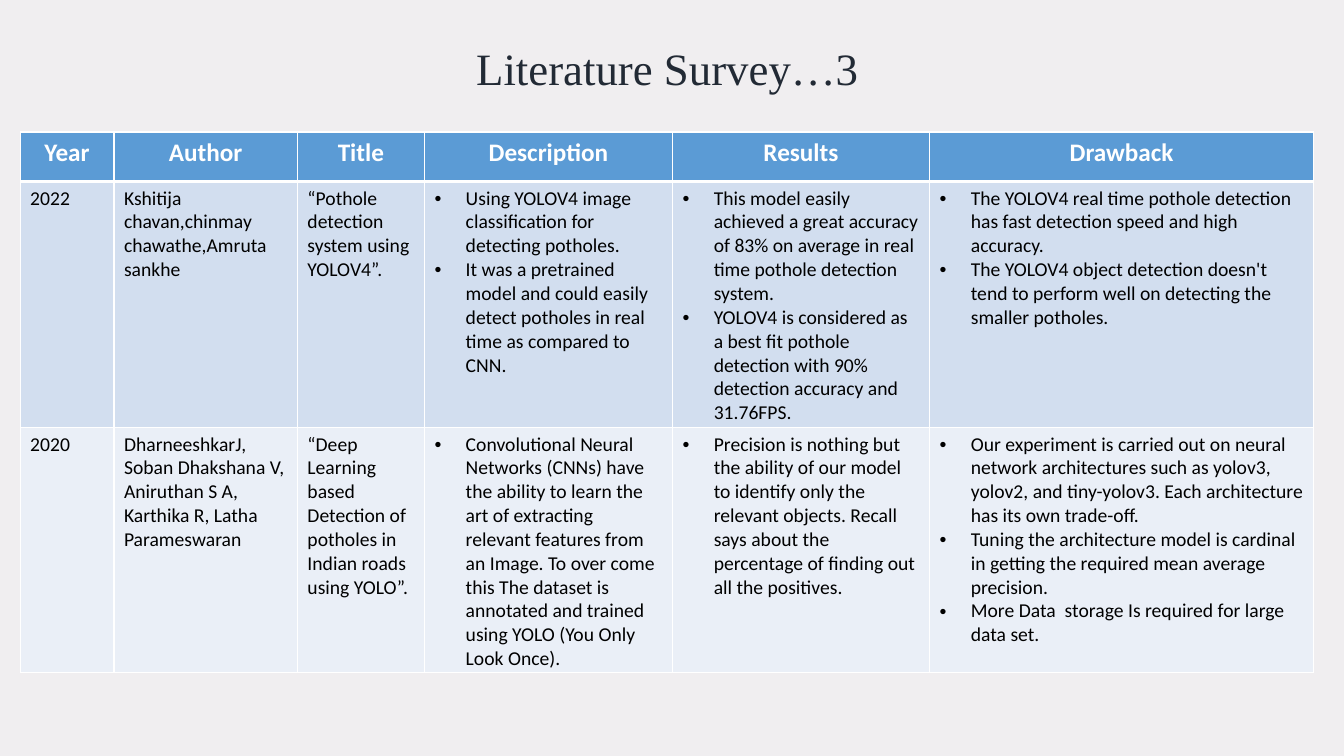
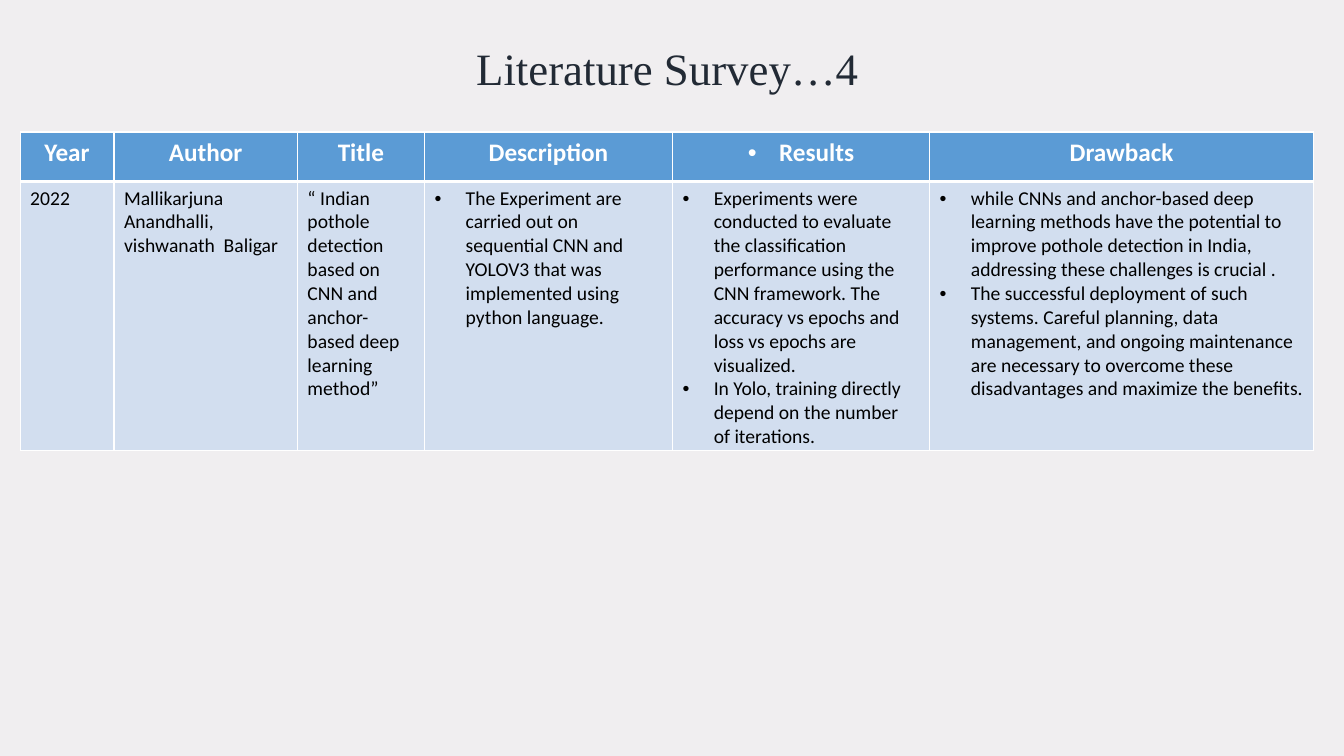
from dataclasses import dataclass
from lxml.etree import SubElement as Sub
from pptx import Presentation
from pptx.dml.color import RGBColor as Rgb
from pptx.enum.text import PP_ALIGN as Align
from pptx.oxml.ns import qn
from pptx.util import Inches, Pt


@dataclass(frozen=True)
class Theme:
    back: str = "F0EEF0"
    title: str = "222A35"
    head: str = "5B9BD5"
    bands: tuple = ("D2DEEF", "EAEFF7")
    white: str = "FFFFFF"
    ink: str = "000000"
    serif: str = "Times New Roman"
    sans: str = "Calibri"
    big: int = 32
    mid: int = 18
    small: int = 14
    thin: int = 1
    thick: int = 3
    indent: float = 0.31


THEME = Theme()
WIDTHS = (0.93, 1.82, 1.26, 2.46, 2.55, 3.81)
HEADS = ("Year", "Author", "Title", "Description", "Results", "Drawback")
HEAD_HIGH = 0.49
LISTS = (3, 4, 5)

SURVEYS = (
    ("Literature Survey…3", (), (
        (2.44, (
            ("2022",),
            ("Kshitija chavan,chinmay chawathe,Amruta sankhe",),
            ("“Pothole detection system using YOLOV4”.",),
            ("Using YOLOV4 image classification for detecting potholes.",
             "It was a pretrained model and could easily detect potholes "
             "in real time as compared to CNN."),
            ("This model easily achieved a great accuracy of 83% on average "
             "in real time pothole detection system.",
             "YOLOV4 is considered as a best fit pothole detection with 90% "
             "detection accuracy and 31.76FPS."),
            ("The YOLOV4 real time pothole detection has fast detection "
             "speed and high accuracy.",
             "The YOLOV4 object detection doesn't tend to perform well on "
             "detecting the smaller potholes."),
        )),
        (2.43, (
            ("2020",),
            ("DharneeshkarJ, Soban Dhakshana V, Aniruthan S A, Karthika R, "
             "Latha Parameswaran",),
            ("“Deep Learning based Detection of potholes in Indian roads "
             "using YOLO”.",),
            ("Convolutional Neural Networks (CNNs) have the ability to learn "
             "the art of extracting relevant features from an Image. To over "
             "come this The dataset is annotated and trained using YOLO "
             "(You Only Look Once).",),
            ("Precision is nothing but the ability of our model to identify "
             "only the relevant objects. Recall says about the percentage of "
             "finding out all the positives.",),
            ("Our experiment is carried out on neural network architectures "
             "such as yolov3, yolov2, and tiny-yolov3. Each architecture has "
             "its own trade-off.",
             "Tuning the architecture model is cardinal in getting the "
             "required mean average precision.",
             "More Data  storage Is required for large data set."),
        )),
    )),
    ("Literature Survey…4", ("Results",), (
        (2.67, (
            ("2022",),
            ("Mallikarjuna Anandhalli, vishwanath  Baligar",),
            ("“ Indian pothole",
             "detection based on CNN and anchor-based deep learning method”"),
            ("The Experiment are carried out on sequential CNN and YOLOV3 "
             "that was implemented using python language.",),
            ("Experiments were conducted to evaluate the classification "
             "performance using the CNN framework. The accuracy vs epochs "
             "and loss vs epochs are visualized.",
             "In Yolo, training directly depend on the number of "
             "iterations."),
            ("while CNNs and anchor-based deep learning methods have the "
             "potential to improve pothole detection in India, addressing "
             "these challenges is crucial .",
             "The successful deployment of such systems. Careful planning, "
             "data management, and ongoing maintenance are necessary to "
             "overcome these disadvantages and maximize the benefits."),
        )),
    )),
)


def color(code):
    return Rgb.from_string(code)


def write(frame, lines, face, size, tone, bold=False, align=Align.LEFT, dots=False):
    frame.word_wrap = True
    for num, line in enumerate(lines):
        para = frame.add_paragraph() if num else frame.paragraphs[0]
        para.alignment = align
        if dots:
            props = para._p.get_or_add_pPr()
            step = Inches(THEME.indent)
            props.set("marL", str(step))
            props.set("indent", str(-step))
            Sub(props, qn("a:buFont"), typeface="Arial")
            Sub(props, qn("a:buChar"), char="•")
        run = para.add_run()
        run.text = line
        font = run.font
        font.name, font.size, font.bold = face, Pt(size), bold
        font.color.rgb = color(tone)


def edge(cell, top, base):
    props = cell._tc.get_or_add_tcPr()
    sides = {"L": THEME.thin, "R": THEME.thin, "T": top, "B": base}
    for side, wide in sides.items():
        line = Sub(props, qn(f"a:ln{side}"), w=str(Pt(wide)))
        Sub(Sub(line, qn("a:solidFill")), qn("a:srgbClr"), val=THEME.white)


def paint(cell, tone, top, base):
    edge(cell, top, base)
    cell.fill.solid()
    cell.fill.fore_color.rgb = color(tone)


def add_title(slide, text, left, top, wide, high):
    box = slide.shapes.add_textbox(*map(Inches, (left, top, wide, high)))
    write(box.text_frame, (text,), THEME.serif, THEME.big, THEME.title,
          align=Align.CENTER)


def add_survey(slide, dotted, rows, left, top):
    highs = [HEAD_HIGH] + [high for high, _ in rows]
    area = (left, top, sum(WIDTHS), sum(highs))
    table = slide.shapes.add_table(
        len(highs), len(WIDTHS), *map(Inches, area)).table
    for col, wide in zip(table.columns, WIDTHS):
        col.width = Inches(wide)
    for row, high in zip(table.rows, highs):
        row.height = Inches(high)
    for col, head in enumerate(HEADS):
        cell = table.cell(0, col)
        paint(cell, THEME.head, THEME.thin, THEME.thick)
        write(cell.text_frame, (head,), THEME.sans, THEME.mid, THEME.white,
              True, Align.CENTER, head in dotted)
    for num, (_, texts) in enumerate(rows):
        band = THEME.bands[num % len(THEME.bands)]
        above = THEME.thin if num else THEME.thick
        for col, lines in enumerate(texts):
            cell = table.cell(num + 1, col)
            paint(cell, band, above, THEME.thin)
            write(cell.text_frame, lines, THEME.sans, THEME.small, THEME.ink,
                  dots=col in LISTS)


def main():
    deck = Presentation()
    deck.slide_width, deck.slide_height = Inches(13.33), Inches(7.5)
    fill = deck.slide_master.background.fill
    fill.solid()
    fill.fore_color.rgb = color(THEME.back)
    for title, dotted, rows in SURVEYS:
        slide = deck.slides.add_slide(deck.slide_layouts[6])
        add_title(slide, title, 3.48, 0.35, 6.28, 0.64)
        add_survey(slide, dotted, rows, 0.2, 1.31)
    deck.save("out.pptx")


if __name__ == "__main__":
    main()
